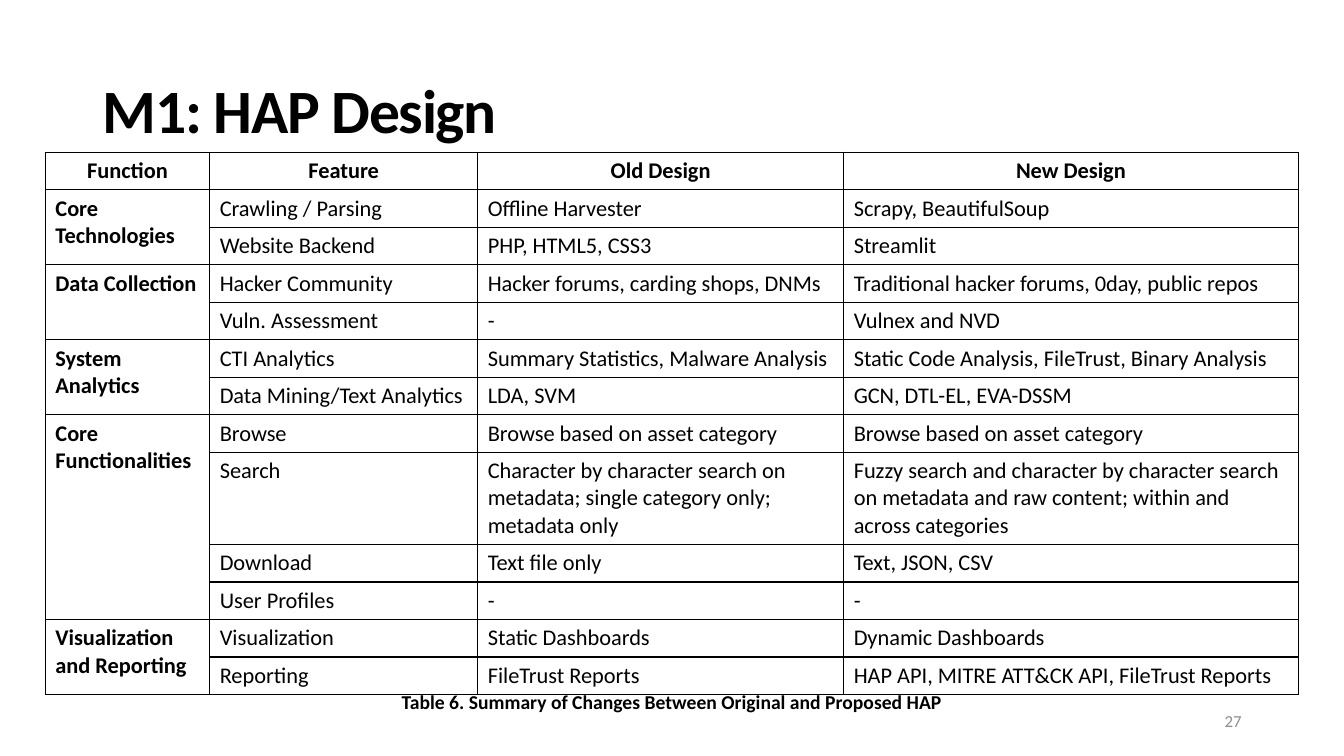
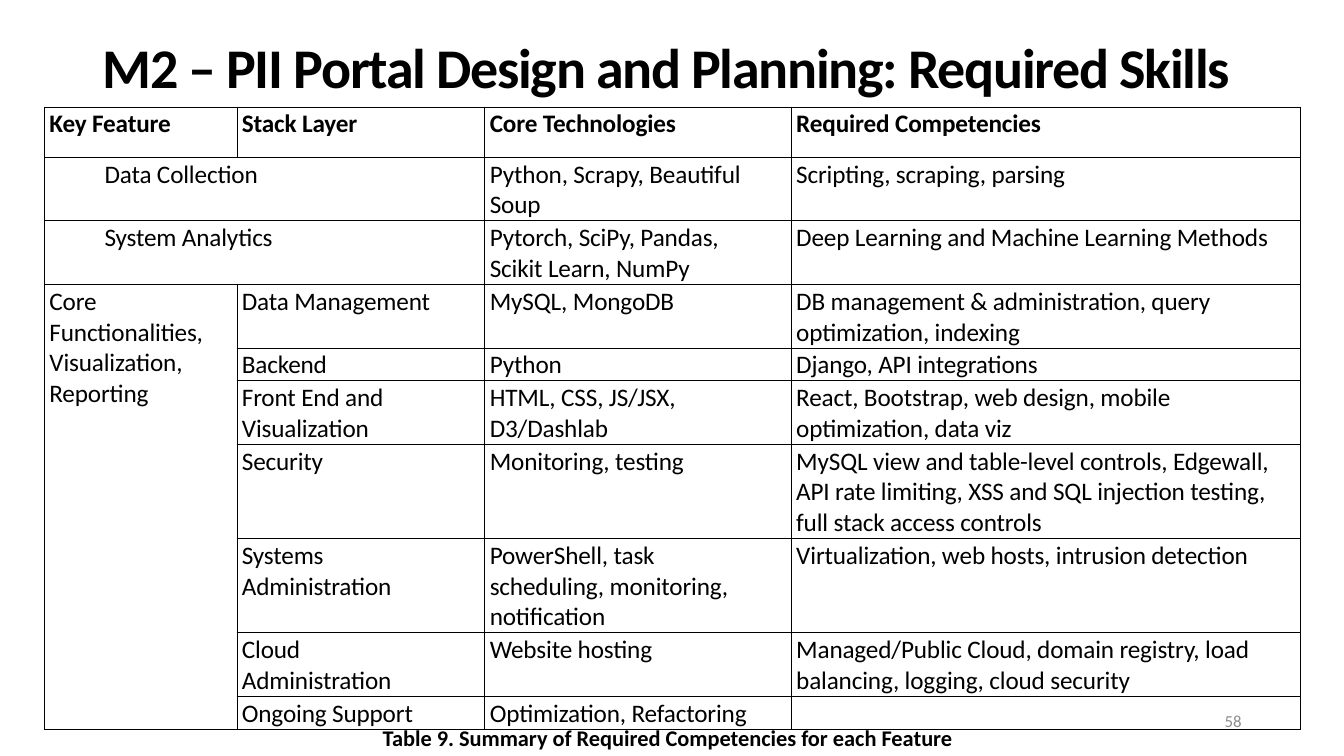
import pptx
import pptx.dml.color
import pptx.enum.text
import pptx.oxml
import pptx.oxml.ns
import pptx.util

Pt = pptx.util.Pt
Align = pptx.enum.text.PP_ALIGN
Anchor = pptx.enum.text.MSO_ANCHOR

FONT = "Calibri"
BLACK, WHITE, GRAY = "000000", "FFFFFF", "8C8C8C"
LEFT, WIDE = 66, 828


def color(code):
    return pptx.dml.color.RGBColor.from_string(code)


def write(frame, text, size=16, bold=False, ink=BLACK, align=Align.LEFT, gap=0, lead=None):
    """Fill a text frame; gap is letter spacing in points, lead is line spacing."""
    para = frame.paragraphs[0]
    para.text = text
    para.alignment = align
    if lead:
        para.line_spacing = lead
    for run in para.runs:
        font = run.font
        font.name, font.size, font.bold = FONT, Pt(size), bold
        font.color.rgb = color(ink)
        if gap:
            run._r.get_or_add_rPr().set("spc", str(round(gap * 100)))


def edge(cell, weight):
    """Draw a solid border on all four sides of a cell."""
    props = cell._tc.get_or_add_tcPr()
    for side in ("lnL", "lnR", "lnT", "lnB"):
        props.append(pptx.oxml.parse_xml(
            f'<a:{side} {pptx.oxml.ns.nsdecls("a")} w="{Pt(weight)}">'
            f'<a:solidFill><a:srgbClr val="{BLACK}"/></a:solidFill></a:{side}>'))


def reach(rows, r, c):
    """Return the last row and column of a cell: None after it widens it,
    None below it in the first column makes it taller."""
    low, right = r, c
    while right + 1 < len(rows[r]) and rows[r][right + 1] is None:
        right += 1
    while c == 0 and low + 1 < len(rows) and rows[low + 1][c] is None:
        low += 1
    return low, right


class Deck:
    def __init__(self):
        self.file = pptx.Presentation()
        self.file.slide_width, self.file.slide_height = Pt(960), Pt(540)
        self.slide = None
        self.page = ""

    def start(self, title, top, size, page):
        self.slide = self.file.slides.add_slide(self.file.slide_layouts[5])
        head = self.slide.shapes.title
        head.left, head.top, head.width, head.height = Pt(LEFT), Pt(top), Pt(WIDE), Pt(104.4)
        frame = head.text_frame
        frame.auto_size = pptx.enum.text.MSO_AUTO_SIZE.NONE
        frame.vertical_anchor = Anchor.MIDDLE
        write(frame, title, size=size, bold=True, gap=-0.9, lead=0.9)
        self.page = page

    def text(self, text, left, top, width, height, anchor=Anchor.TOP, **style):
        frame = self.slide.shapes.add_textbox(Pt(left), Pt(top), Pt(width), Pt(height)).text_frame
        frame.word_wrap = True
        frame.vertical_anchor = anchor
        write(frame, text, **style)

    def close(self, text, top, size, left=LEFT):
        """Add the caption under the table and the page number."""
        self.text(text, left, top, WIDE, 25, size=size, bold=True, align=Align.CENTER)
        self.text(self.page, 678, 500.5, 216, 28.8, anchor=Anchor.MIDDLE,
                  size=12, ink=GRAY, align=Align.RIGHT)

    def table(self, rows, left, top, widths, heights, weight, pads, deep=None,
              lead=False, align=Align.LEFT, **style):
        """Add a table; pads are left, top, right, bottom, deep is the left pad of
        cells that span columns, lead makes the first column bold."""
        grid = self.slide.shapes.add_table(
            len(rows), len(widths), Pt(left), Pt(top), Pt(sum(widths)), Pt(sum(heights))).table
        grid.first_row = grid.horz_banding = False
        for col, width in zip(grid.columns, widths):
            col.width = Pt(width)
        for row, height in zip(grid.rows, heights):
            row.height = Pt(height)
        for r, row in enumerate(rows):
            for c, text in enumerate(row):
                cell = grid.cell(r, c)
                edge(cell, weight)
                cell.fill.solid()
                cell.fill.fore_color.rgb = color(WHITE)
                (cell.margin_left, cell.margin_top,
                 cell.margin_right, cell.margin_bottom) = map(Pt, pads)
                if text is None:
                    continue
                low, right = reach(rows, r, c)
                if (low, right) != (r, c):
                    cell.merge(grid.cell(low, right))
                if right > c:
                    cell.margin_left = Pt(deep)
                write(cell.text_frame, text, bold=r == 0 or (lead and c == 0),
                      align=align if r == 0 else Align.LEFT, **style)


DESIGN = [
    ["Function", "Feature", "Old Design", "New Design"],
    ["Core Technologies", "Crawling / Parsing", "Offline Harvester", "Scrapy, BeautifulSoup"],
    [None, "Website Backend", "PHP, HTML5, CSS3", "Streamlit"],
    ["Data Collection", "Hacker Community", "Hacker forums, carding shops, DNMs",
     "Traditional hacker forums, 0day, public repos"],
    [None, "Vuln. Assessment", "-", "Vulnex and NVD"],
    ["System Analytics", "CTI Analytics", "Summary Statistics, Malware Analysis",
     "Static Code Analysis, FileTrust, Binary Analysis"],
    [None, "Data Mining/Text Analytics", "LDA, SVM", "GCN, DTL-EL, EVA-DSSM"],
    ["Core Functionalities", "Browse", "Browse based on asset category",
     "Browse based on asset category"],
    [None, "Search",
     "Character by character search on metadata; single category only; metadata only",
     "Fuzzy search and character by character search on metadata and raw content; "
     "within and across categories"],
    [None, "Download", "Text file only", "Text, JSON, CSV"],
    [None, "User Profiles", "-", "-"],
    ["Visualization and Reporting", "Visualization", "Static Dashboards", "Dynamic Dashboards"],
    [None, "Reporting", "FileTrust Reports", "HAP API, MITRE ATT&CK API, FileTrust Reports"],
]

SKILLS = [
    ["Key Feature", "Stack Layer", "Core Technologies", "Required Competencies"],
    ["Data Collection", None, "Python, Scrapy, Beautiful\vSoup", "Scripting, scraping, parsing"],
    ["System Analytics", None, "Pytorch, SciPy, Pandas,\vScikit Learn, NumPy",
     "Deep Learning and Machine Learning Methods"],
    ["Core Functionalities, Visualization, Reporting", "Data Management", "MySQL, MongoDB",
     "DB management & administration, query optimization, indexing"],
    [None, "Backend", "Python", "Django, API integrations"],
    [None, "Front End and\vVisualization", "HTML, CSS, JS/JSX,\vD3/Dashlab",
     "React, Bootstrap, web design, mobile\voptimization, data viz"],
    [None, "Security", "Monitoring, testing",
     "MySQL view and table-level controls, Edgewall,\vAPI rate limiting, XSS and SQL "
     "injection testing,\vfull stack access controls"],
    [None, "Systems\vAdministration", "PowerShell, task\vscheduling, monitoring,\vnotification",
     "Virtualization, web hosts, intrusion detection"],
    [None, "Cloud\vAdministration", "Website hosting",
     "Managed/Public Cloud, domain registry, load\vbalancing, logging, cloud security"],
    [None, "Ongoing Support", "Optimization, Refactoring", ""],
]


def main():
    deck = Deck()

    deck.start("M1: HAP Design", 28.8, 44, "27")
    heights = [65.8 if row[1] == "Search" else 26.8 for row in DESIGN]
    deck.table(DESIGN, 32.4, 108.7, [117.4, 191.5, 261.4, 324.7], heights, 1,
               (7.2, 3.6, 7.2, 3.6), lead=True, align=Align.CENTER, size=16)
    deck.close("Table 6. Summary of Changes Between Original and Proposed HAP", 489.6, 14)

    deck.start("M2 – PII Portal Design and Planning: Required Skills", -2.2, 40, "58")
    lines = [2, 2, 2, 1, 2, 3, 3, 2, 1]
    heights = [36] + [22 * count + 1.4 for count in lines]
    deck.table(SKILLS, 31.7, 76.3, [137.5, 177.1, 218.9, 363.6], heights, 0.5,
               (3.6, 1.4, 0, 0), deep=43, size=18, gap=-0.1)
    deck.close("Table 9. Summary of Required Competencies for each Feature", 513.4, 16, left=63)

    deck.file.save("out.pptx")


if __name__ == "__main__":
    main()
